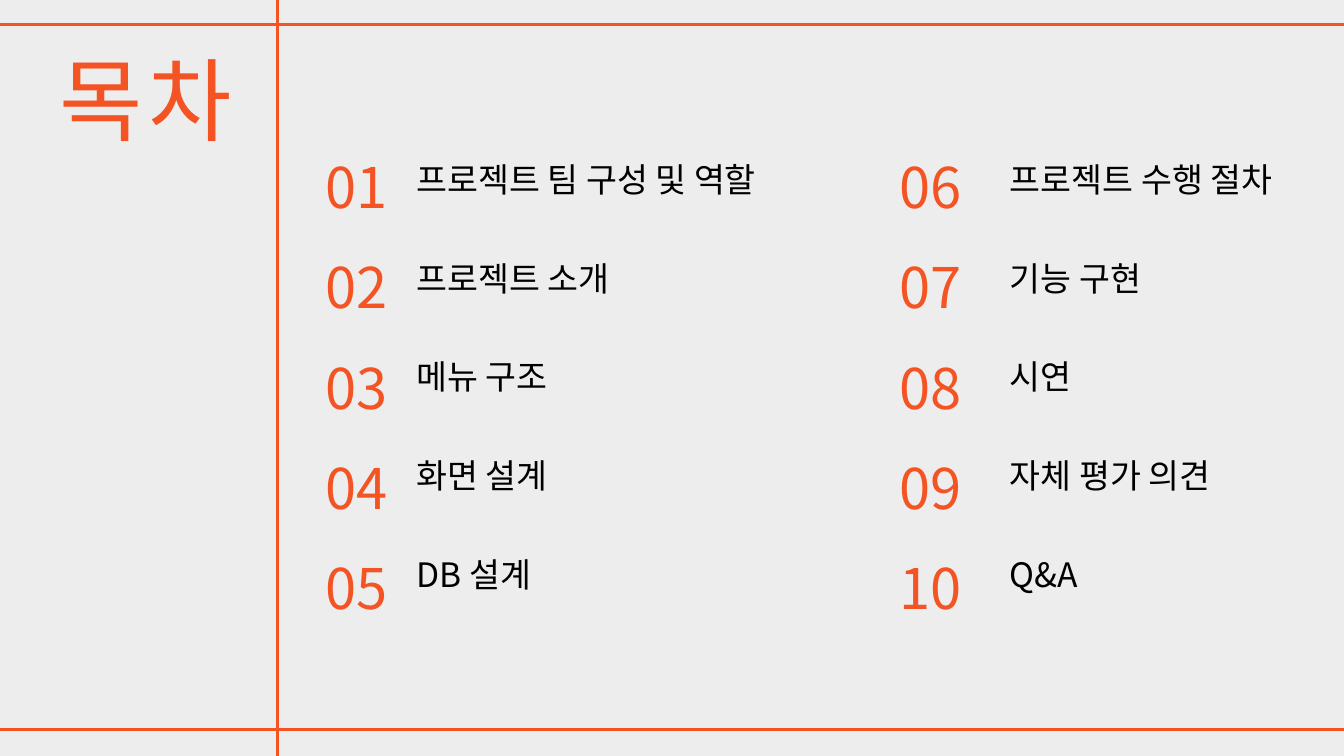
from lxml import etree
from pptx import Presentation
from pptx.dml.color import RGBColor
from pptx.enum.shapes import MSO_CONNECTOR
from pptx.oxml.ns import qn
from pptx.util import Inches, Pt

STRAIGHT = MSO_CONNECTOR.STRAIGHT
COLORS = {"background": "EDEDED", "accent": "F45323", "text": "000000"}
LATIN, KOREAN = "Calibri", "Noto Sans CJK KR"

deck = Presentation()
deck.slide_width, deck.slide_height = Inches(20), Inches(11.25)
COLUMN = deck.slide_width / 20
ROW = deck.slide_height / 11.25
page = deck.slides.add_slide(deck.slide_layouts[6])
page.background.fill.solid()
page.background.fill.fore_color.rgb = RGBColor.from_string(COLORS["background"])


def grid(column, row):
    return round(column * COLUMN), round(row * ROW)


def add_lines(place, extent, lines, size, color, leading, gap=0):
    box = page.shapes.add_textbox(*grid(*place), *grid(*extent))
    frame = box.text_frame
    frame.word_wrap = True
    frame.margin_left = frame.margin_right = 0
    frame.margin_top = frame.margin_bottom = 0
    for index, (words, font) in enumerate(lines):
        para = frame.paragraphs[0] if index == 0 else frame.add_paragraph()
        para.text = words
        para.line_spacing = Pt(leading)
        para.space_before = Pt(gap if index else 0)
        para.font.name = font
        para.font.size = Pt(size)
        para.font.color.rgb = RGBColor.from_string(COLORS[color])
    return frame


title = add_lines((0.89, 0.55), (4.86, 1.69), [("목차", LATIN)], 97, "accent", 124.2)
for span in title.paragraphs[0].runs:
    span._r.get_or_add_rPr().set("spc", "580")

rules = [
    ((4.13, -0.24), (4.13, 11.49)),
    ((21.3, 0.36), (-0.68, 0.36)),
    ((21.3, 10.85), (-0.68, 10.85)),
]
for start, end in rules:
    rule = page.shapes.add_connector(STRAIGHT, *grid(*start), *grid(*end))
    rule.line.color.rgb = RGBColor.from_string(COLORS["accent"])
    rule.line.width = Pt(3)
    etree.SubElement(rule._element.spPr, qn("a:effectLst"))

contents = [
    (4.84, 6.2, 1, ["프로젝트 팀 구성 및 역할", "프로젝트 소개", "메뉴 구조", "화면 설계", "DB 설계"]),
    (13.38, 15.03, 6, ["프로젝트 수행 절차", "기능 구현", "시연", "자체 평가 의견", "Q&A"]),
]
for number_left, topic_left, first, topics in contents:
    numbers = [(f"{first + index:02}", KOREAN) for index in range(len(topics))]
    entries = [(topic, LATIN) for topic in topics[:-1]] + [(topics[-1], KOREAN)]
    add_lines((topic_left, 2.23), (6.27, 6.52), entries, 36, "text", 52.9, gap=52.9)
    add_lines((number_left, 1.78), (1.49, 7.32), numbers, 60, "accent", 107.4)

deck.save("out.pptx")
